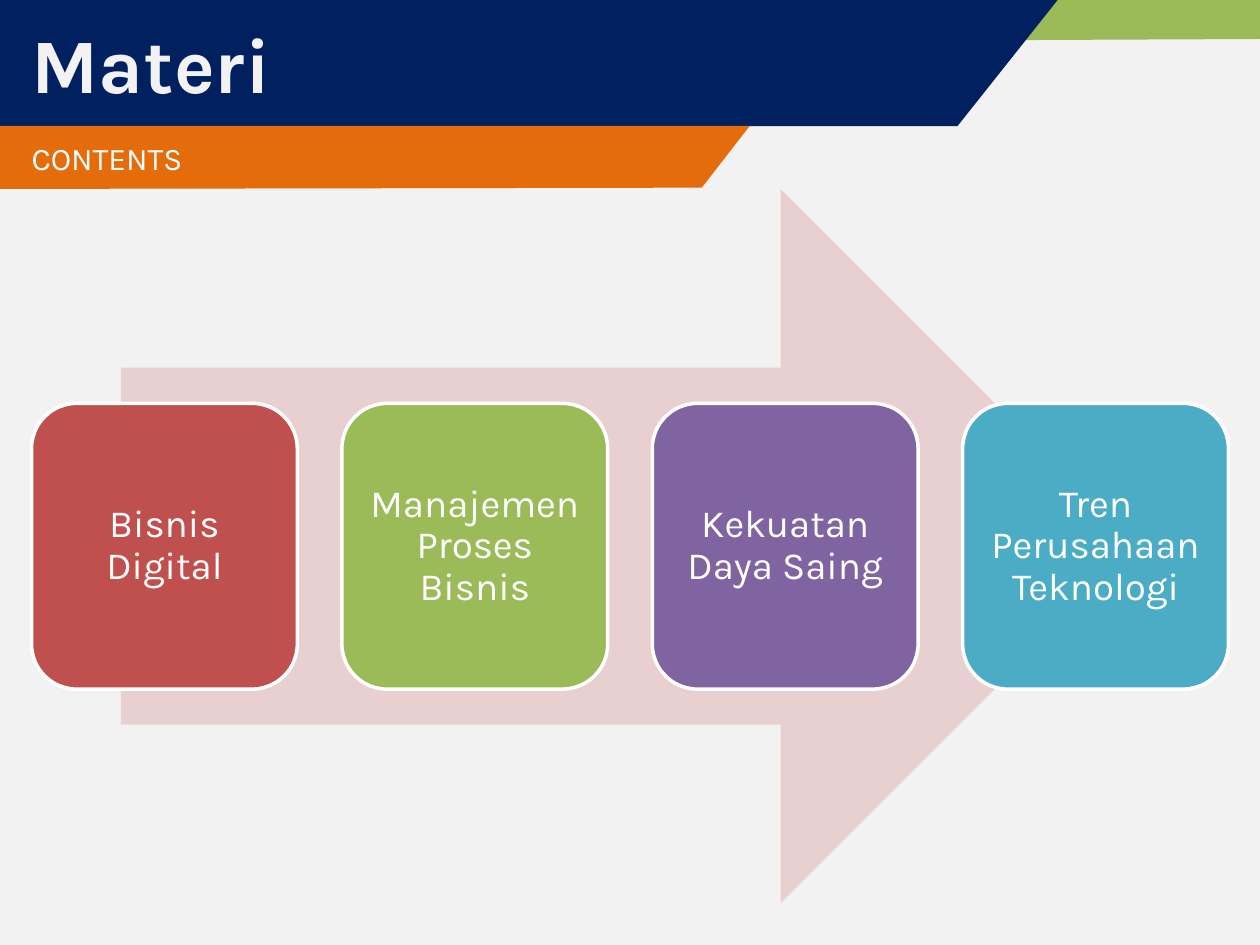
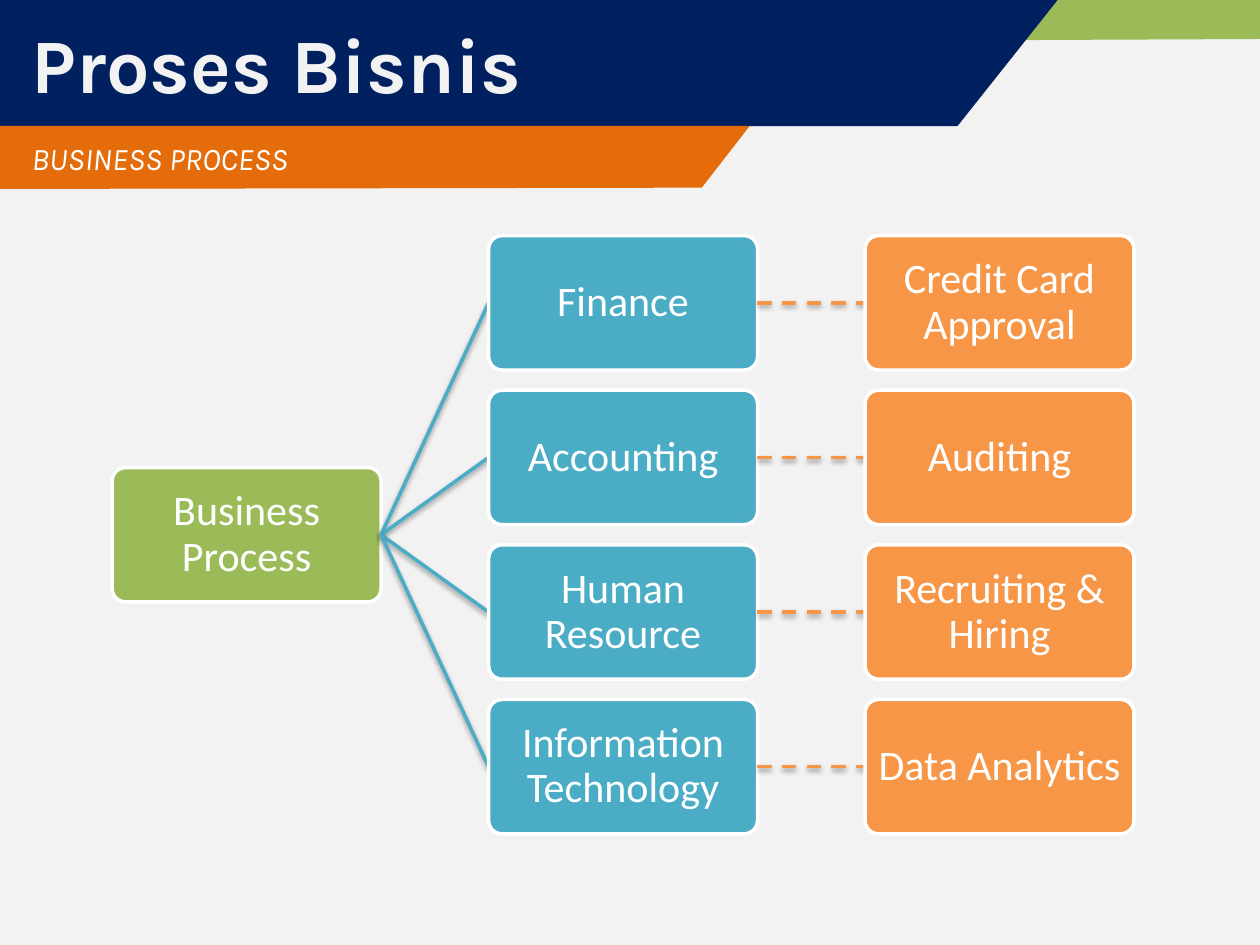
from lxml import etree
from pptx import Presentation
from pptx import util as u
from pptx.dml.color import RGBColor
from pptx.enum import dml, shapes, text
from pptx.oxml import ns

# Content
MATERI = {
    "title": "Materi", "subtitle": "CONTENTS", "italic": False,
    "cards": [("Bisnis Digital", "C0504D"),
              ("Manajemen Proses Bisnis", "9BBB59"),
              ("Kekuatan Daya Saing", "8064A2"),
              ("Tren Perusahaan Teknologi", "4BACC6")],
}
PROSES = {
    "title": "Proses Bisnis", "subtitle": "BUSINESS PROCESS", "italic": True,
    "root": "Business Process",
    "branches": [("Finance", "Credit Card Approval"),
                 ("Accounting", "Auditing"),
                 ("Human Resource", "Recruiting & Hiring"),
                 ("Information Technology", "Data Analytics")],
}

# Shared look
WIDTH, HEIGHT = 10, 7.5
PALE, WHITE, NAVY, AMBER = "F2F2F2", "FFFFFF", "002060", "E46C0A"
GREEN, TEAL, ORANGE, ROSE = "9BBB59", "4BACC6", "F79646", "E8D0D0"
HEAD_FONT, TREE_FONT = "Karla", "Calibri"
TEXT_LEFT = 0.25
CORNER_BAND = [(5.69, 0), (10, 0), (10, 0.31), (5.58, 0.33)]
TITLE_BAND = [(0, 0), (8.41, -0.02), (7.6, 1), (0, 1)]
SUBTITLE_BAND = [(0, 1), (5.95, 1), (5.57, 1.49), (0, 1.5)]


def rgb(value):
    return RGBColor.from_string(value)


def paint(sp, fill, line=None):
    sp.shadow.inherit = False
    sp.fill.solid()
    sp.fill.fore_color.rgb = rgb(fill)
    if line:
        sp.line.color.rgb = rgb(line)
        sp.line.width = u.Pt(2)
    else:
        sp.line.fill.background()
    return sp


def write(sp, words, font, size, color=WHITE, align=text.PP_ALIGN.LEFT,
          inset=(0.1, 0.05), spacing=None, bold=False, italic=False):
    tf = sp.text_frame
    tf.word_wrap = True
    tf.vertical_anchor = text.MSO_ANCHOR.MIDDLE
    tf.margin_left, tf.margin_top = map(u.Inches, inset)
    tf.margin_right, tf.margin_bottom = u.Inches(min(inset[0], 0.1)), tf.margin_top
    p = tf.paragraphs[0]
    p.alignment = align
    p.line_spacing = spacing
    r = p.add_run()
    r.text = words
    r.font.name, r.font.size = font, u.Pt(size)
    r.font.bold, r.font.italic = bold, italic
    r.font.color.rgb = rgb(color)


def add_band(slide, points, color):
    inches = [(u.Inches(x), u.Inches(y)) for x, y in points]
    builder = slide.shapes.build_freeform(*inches[0], scale=1.0)
    builder.add_line_segments(inches[1:], close=True)
    return paint(builder.convert_to_shape(), color)


def add_slide(prs, content):
    slide = prs.slides.add_slide(prs.slide_layouts[5])
    add_band(slide, CORNER_BAND, GREEN)
    add_band(slide, TITLE_BAND, NAVY)
    subtitle = add_band(slide, SUBTITLE_BAND, AMBER)
    write(subtitle, content["subtitle"], HEAD_FONT, 18,
          inset=(TEXT_LEFT, 0.05), italic=content["italic"])
    # The title stands in front of its band
    title = slide.shapes.title
    subtitle.element.addnext(title.element)
    title.left = title.top = 0
    title.width, title.height = u.Inches(WIDTH), u.Inches(1)
    write(title, content["title"], HEAD_FONT, 44, PALE,
          inset=(TEXT_LEFT, 0.05), bold=True)
    return slide


def add_shape(slide, kind, x, y, w, h, fill, line=None):
    sp = slide.shapes.add_shape(kind, *map(u.Inches, (x, y, w, h)))
    return paint(sp, fill, line)


def add_box(slide, words, x, y, w, h, fill, font, size, corner, inset):
    sp = add_shape(slide, shapes.MSO_SHAPE.ROUNDED_RECTANGLE,
                   x, y, w, h, fill, WHITE)
    sp.adjustments[0] = corner
    write(sp, words, font, size, align=text.PP_ALIGN.CENTER,
          inset=(inset, inset), spacing=0.9)
    return sp


def link(slide, parent, child, color, dashed=False):
    line = slide.shapes.add_connector(shapes.MSO_CONNECTOR.STRAIGHT, 0, 0, 0, 0)
    line.begin_connect(parent, 3)
    line.end_connect(child, 1)
    line.line.color.rgb = rgb(color)
    line.line.width = u.Pt(2)
    if dashed:
        line.line.dash_style = dml.MSO_LINE.DASH
    # Soft shadow straight below the line
    effects = etree.SubElement(line.element.spPr, ns.qn("a:effectLst"))
    shadow = etree.SubElement(effects, ns.qn("a:outerShdw"), blurRad=str(u.Pt(3.1)),
                              dist=str(u.Pt(1.6)), dir="5400000", rotWithShape="0")
    black = etree.SubElement(shadow, ns.qn("a:srgbClr"), val="000000")
    etree.SubElement(black, ns.qn("a:alpha"), val="38000")
    child.element.addprevious(line.element)


def build_materi(prs):
    slide = add_slide(prs, MATERI)
    top, height = 1.5, 5.67
    add_shape(slide, shapes.MSO_SHAPE.RIGHT_ARROW, 0.96, top, 8.07, height, ROSE)
    # Cards spread evenly between the side margins, centred on the arrow
    cards, margin, w = MATERI["cards"], 0.25, 2.11
    h = 0.4 * height
    pitch = (WIDTH - 2 * margin - w) / (len(cards) - 1)
    for i, (words, color) in enumerate(cards):
        add_box(slide, words, margin + i * pitch, top + (height - h) / 2, w, h,
                color, HEAD_FONT, 22, 0.17, 0.09)


def build_proses(prs):
    slide = add_slide(prs, PROSES)
    # Three columns with gaps of 0.4 box width, rows 1.15 box heights apart
    left, right, top = 0.89, 9, 1.87
    w = (right - left) / 3.8
    h = w / 2

    def node(words, col, row, color):
        return add_box(slide, words, left + col * 1.4 * w, top + row * 1.15 * h,
                       w, h, color, TREE_FONT, 24, 0.1, 0.02)

    branches = PROSES["branches"]
    root = node(PROSES["root"], 0, (len(branches) - 1) / 2, GREEN)
    for row, (function, process) in enumerate(branches):
        branch = node(function, 1, row, TEAL)
        leaf = node(process, 2, row, ORANGE)
        link(slide, root, branch, TEAL)
        link(slide, branch, leaf, ORANGE, dashed=True)


def main():
    prs = Presentation()
    prs.slide_width, prs.slide_height = u.Inches(WIDTH), u.Inches(HEIGHT)
    background = prs.slide_master.background.fill
    background.solid()
    background.fore_color.rgb = rgb(PALE)
    build_materi(prs)
    build_proses(prs)
    prs.save("out.pptx")


if __name__ == "__main__":
    main()
